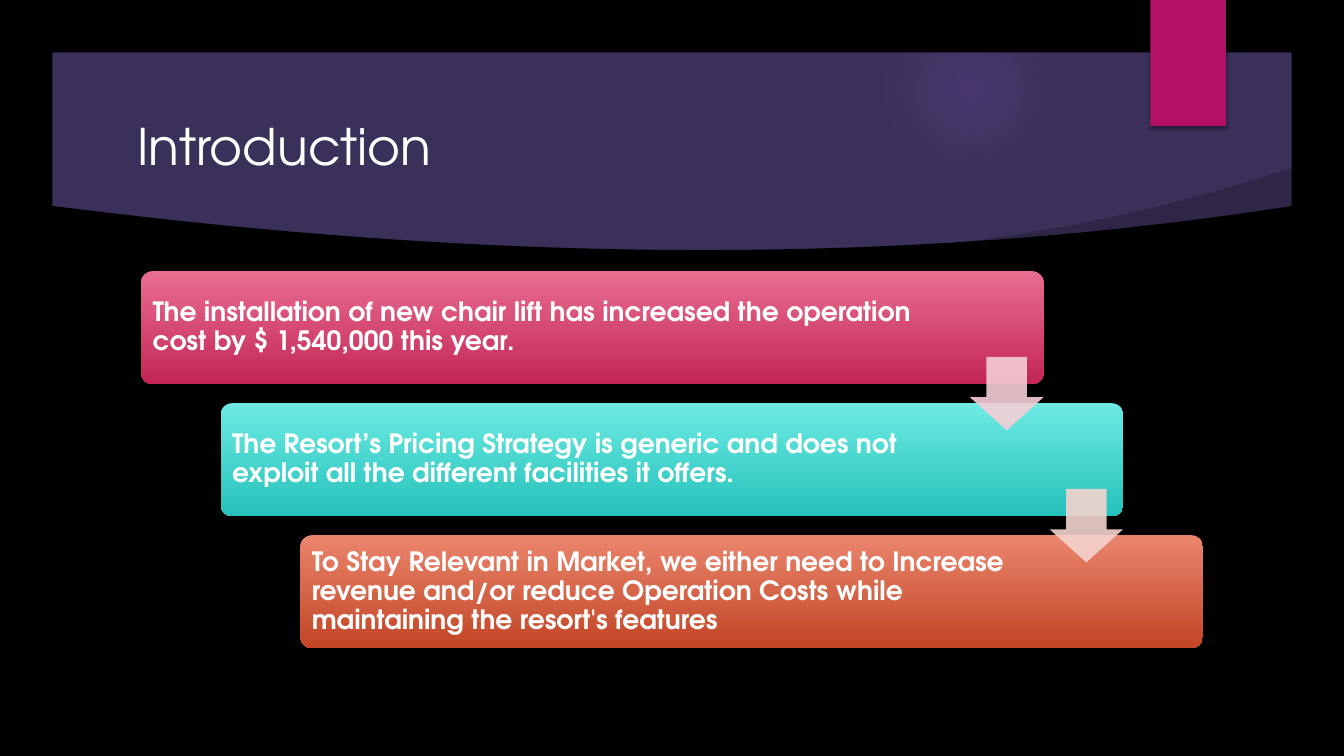
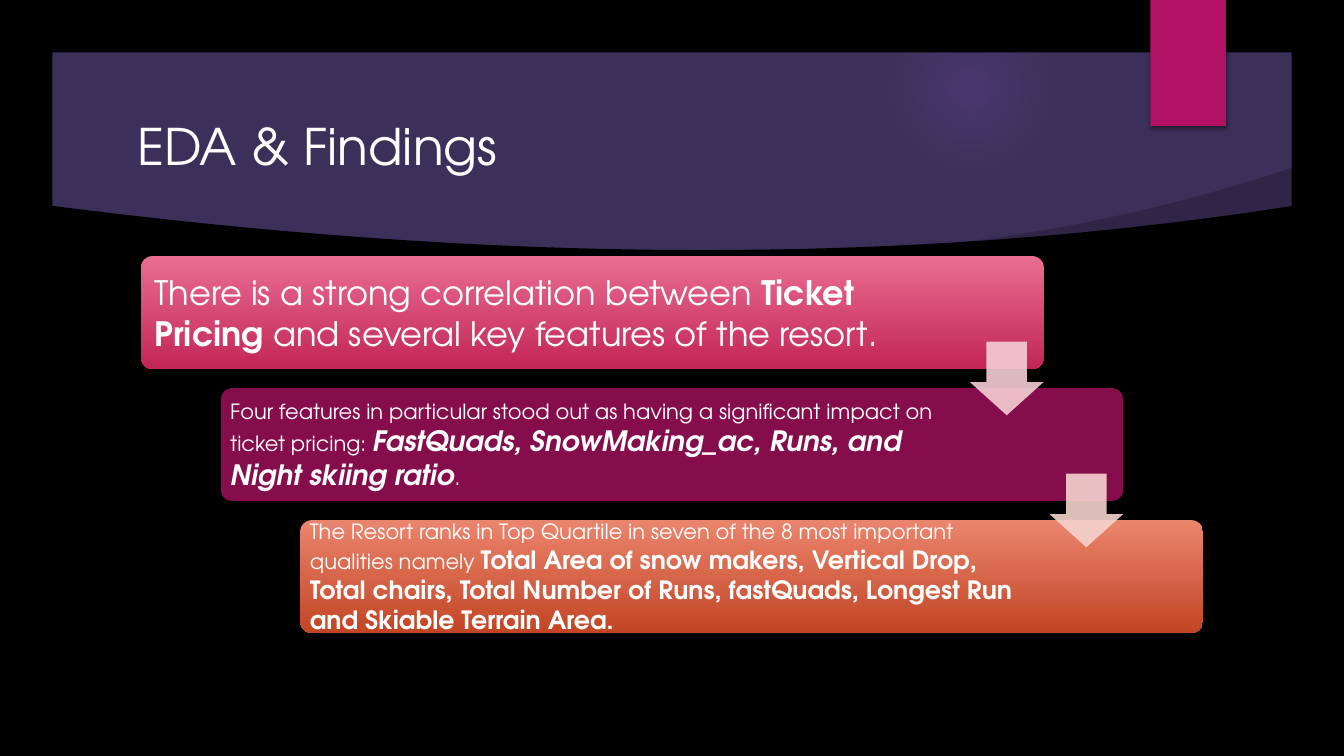
from lxml import etree
from pptx import Presentation
from pptx.dml.color import RGBColor
from pptx.enum.shapes import MSO_SHAPE as Preset
from pptx.enum.text import MSO_ANCHOR as Anchor, MSO_AUTO_SIZE as AutoSize, PP_ALIGN as Align
from pptx.oxml import parse_xml
from pptx.oxml.ns import nsdecls, qn
from pptx.util import Inches, Pt

COLORS = {
    "background": "3B3059", "black": "000000", "white": "FFFFFF",
    "glow": "9B6BF2", "ribbon": "B31166",
    "rose_light": "E96E90", "rose": "C22655",
    "teal_light": "6DEAE3", "teal": "25C2BB",
    "orange_light": "EA856D", "orange": "C24525",
    "plum": "860D4C", "pink_arrow": "F4CED5", "peach_arrow": "F5D3CE",
}
ROSE, TEAL = ("rose_light", "rose"), ("teal_light", "teal")
ORANGE, PLUM = ("orange_light", "orange"), ("plum",)
ARROWS = ("pink_arrow", "peach_arrow")
FONT = "TeX Gyre Adventor"

# Slide and staircase grid, in inches
WIDTH, HEIGHT = 13.33, 7.5
MARGIN = 0.52
STAIR_LEFT, STEP_X, STEP_Y = 1.4, 0.79, 1.31
CARD_WIDTH, CARD_HEIGHT, CARD_ROUNDING = 8.95, 1.12, 0.1
TEXT_WIDTHS = (7.74, 7.36, 7.36)
ARROW_SIZE, ARROW_DROP = 0.73, 0.85


def color(name):
    return RGBColor.from_string(COLORS[name])


# Fills and effects
def paint(shape, *names, alpha=None):
    """Fill with one colour, or with two running from top to bottom."""
    shape.shadow.inherit = False
    shape.line.fill.background()
    if len(names) == 1:
        shape.fill.solid()
        shape.fill.fore_color.rgb = color(names[0])
    else:
        shape.fill.gradient()
        shape.fill.gradient_angle = 270
        for stop, name in zip(shape.fill.gradient_stops, names):
            stop.color.rgb = color(name)
    if alpha is not None:
        set_alpha(shape.fill, shape._element.spPr.find(qn("a:solidFill")), alpha)


def set_alpha(fill, solid_fill, percent):
    etree.SubElement(solid_fill[0], qn("a:alpha"), val=str(percent * 1000))


def add_shadow(shape):
    shape._element.spPr.find(qn("a:effectLst")).append(parse_xml(
        f'<a:outerShdw {nsdecls("a")} blurRad="{Pt(3)}" dist="{Pt(2)}" dir="5400000">'
        f'<a:srgbClr val="{COLORS["black"]}"><a:alpha val="45000"/></a:srgbClr>'
        '</a:outerShdw>'))


def paint_glow(shape, stops):
    """Fill with a round glow; stops are (position, opacity) in percent."""
    paint(shape, "glow")
    stop_list = "".join(
        f'<a:gs pos="{position * 1000}"><a:srgbClr val="{COLORS["glow"]}">'
        f'<a:alpha val="{opacity * 1000}"/></a:srgbClr></a:gs>'
        for position, opacity in stops)
    properties = shape._element.spPr
    properties.replace(properties.find(qn("a:solidFill")), parse_xml(
        f'<a:gradFill {nsdecls("a")}><a:gsLst>{stop_list}</a:gsLst><a:path path="circle">'
        '<a:fillToRect l="50000" t="50000" r="50000" b="50000"/></a:path></a:gradFill>'))


# Shapes
def add_preset(slide, preset, left, top, width, height, adjustments=()):
    shape = slide.shapes.add_shape(
        preset, Inches(left), Inches(top), Inches(width), Inches(height))
    for index, value in enumerate(adjustments):
        shape.adjustments[index] = value
    return shape


def add_outline(slide, points):
    points = [(Inches(x), Inches(y)) for x, y in points]
    builder = slide.shapes.build_freeform(*points[0])
    builder.add_line_segments(points[1:], close=True)
    return builder.convert_to_shape()


def curve(left, right, height_at, steps=40):
    return [(left + (right - left) * i / steps, height_at(i / steps))
            for i in range(steps + 1)]


# Backdrop shared by both slides, kept on the layout
def build_backdrop(slide):
    glow = add_preset(slide, Preset.OVAL, 8.75, 0.01, 1.75, 1.75)
    paint_glow(glow, [(0, 14), (36, 7), (73, 0)])

    swoosh_top = curve(9.3, 12.83, lambda t: 2.43 - 0.37 * t - 0.4 * t * t)
    swoosh = add_outline(slide, swoosh_top + [(12.89, 2.14), (9.34, 2.5)])
    paint(swoosh, "black", alpha=20)

    panel_top = curve(0.5, 12.84, lambda t: 2.04 + 1.76 * t * (1 - t) * (0.9 + 0.2 * t))
    panel = add_outline(slide, panel_top + [(12.84, 7), (0.5, 7)])
    paint(panel, "black")

    frame = add_preset(slide, Preset.FRAME, 0, 0, WIDTH, HEIGHT, [MARGIN / HEIGHT])
    paint(frame, "black")

    ribbon = add_preset(slide, Preset.RECTANGLE, 11.41, 0, 0.75, 1.25)
    paint(ribbon, "ribbon")
    add_shadow(ribbon)

    layout_tree = slide.slide_layout.shapes._spTree
    for shape in (glow, swoosh, panel, frame, ribbon):
        layout_tree.append(shape._element)


# Text
def add_run(paragraph, text, size, bold=False, italic=False):
    run = paragraph.add_run()
    run.text = text
    run.font.name, run.font.size = FONT, Pt(size)
    run.font.bold, run.font.italic = bold, italic
    run.font.color.rgb = color("white")


def format_frame(frame):
    frame.word_wrap = True
    frame.auto_size = AutoSize.NONE
    frame.vertical_anchor = Anchor.MIDDLE
    paragraph = frame.paragraphs[0]
    paragraph.alignment = Align.LEFT
    return paragraph


def add_title(slide, text):
    title = slide.shapes.title
    title.left, title.top = Inches(1.26), Inches(1.06)
    title.width, title.height = Inches(9.58), Inches(0.77)
    add_run(format_frame(title.text_frame), text, 36)


# Staircase of cards joined by arrows
def add_card(slide, left, top, fill, text_width, inset, spacing, runs):
    card = add_preset(slide, Preset.ROUNDED_RECTANGLE, left, top,
                      CARD_WIDTH, CARD_HEIGHT, [CARD_ROUNDING])
    paint(card, *fill)
    add_shadow(card)
    frame = card.text_frame
    corner = 0.29 * CARD_ROUNDING * CARD_HEIGHT
    frame.margin_left = frame.margin_top = frame.margin_bottom = Inches(inset)
    frame.margin_right = Inches(CARD_WIDTH - 2 * corner - text_width + inset)
    paragraph = format_frame(frame)
    paragraph.line_spacing = spacing
    for run in runs:
        add_run(paragraph, *run)


def add_arrow(slide, left, top, name):
    arrow = add_preset(slide, Preset.DOWN_ARROW, left, top,
                       ARROW_SIZE, ARROW_SIZE, [0.55, 0.45])
    paint(arrow, name, alpha=90)


def add_staircase(slide, top, spacing, cards):
    steps = [(STAIR_LEFT + i * STEP_X, top + i * STEP_Y) for i in range(len(cards))]
    for (left, card_top), text_width, (fill, inset, runs) in zip(steps, TEXT_WIDTHS, cards):
        add_card(slide, left, card_top, fill, text_width, inset, spacing, runs)
    for (left, card_top), name in zip(steps, ARROWS):
        add_arrow(slide, left + CARD_WIDTH - ARROW_SIZE, card_top + ARROW_DROP, name)


INTRODUCTION = [
    (ROSE, 0.08, [("The installation of new chair lift has increased the operation "
                   "cost by $ 1,540,000 this year.", 19, True)]),
    (TEAL, 0.08, [("The Resort’s Pricing Strategy is generic and does not exploit "
                   "all the different facilities it offers.", 19, True)]),
    (ORANGE, 0.08, [("To Stay Relevant in Market, we either need to Increase revenue "
                     "and/or reduce Operation Costs while maintaining the resort's "
                     "features", 19, True)]),
]
FINDINGS = [
    (ROSE, 0.1, [("There is a strong correlation between ", 24),
                 ("Ticket Pricing", 24, True),
                 (" and several key features of the resort.", 24)]),
    (PLUM, 0.06, [("Four features in particular stood out as having a significant "
                   "impact on ticket pricing: ", 15),
                  ("FastQuads, SnowMaking_ac, Runs, and Night skiing ratio", 20, True, True),
                  (".", 15)]),
    (ORANGE, 0.06, [("The Resort ranks in Top Quartile in seven of the 8 most important "
                     "qualities namely ", 15),
                    ("Total Area of snow makers, Vertical Drop, Total chairs, Total Number "
                     "of Runs, fastQuads, Longest Run and Skiable Terrain Area.", 18, True)]),
]


def main():
    presentation = Presentation()
    presentation.slide_width, presentation.slide_height = Inches(WIDTH), Inches(HEIGHT)
    background = presentation.slide_master.background.fill
    background.solid()
    background.fore_color.rgb = color("background")
    title_only = presentation.slide_layouts[5]

    introduction = presentation.slides.add_slide(title_only)
    build_backdrop(introduction)
    add_title(introduction, "Introduction")
    add_staircase(introduction, 2.69, 0.9, INTRODUCTION)

    findings = presentation.slides.add_slide(title_only)
    add_title(findings, "EDA & Findings")
    add_staircase(findings, 2.54, 1.0, FINDINGS)

    presentation.save("out.pptx")


if __name__ == "__main__":
    main()
